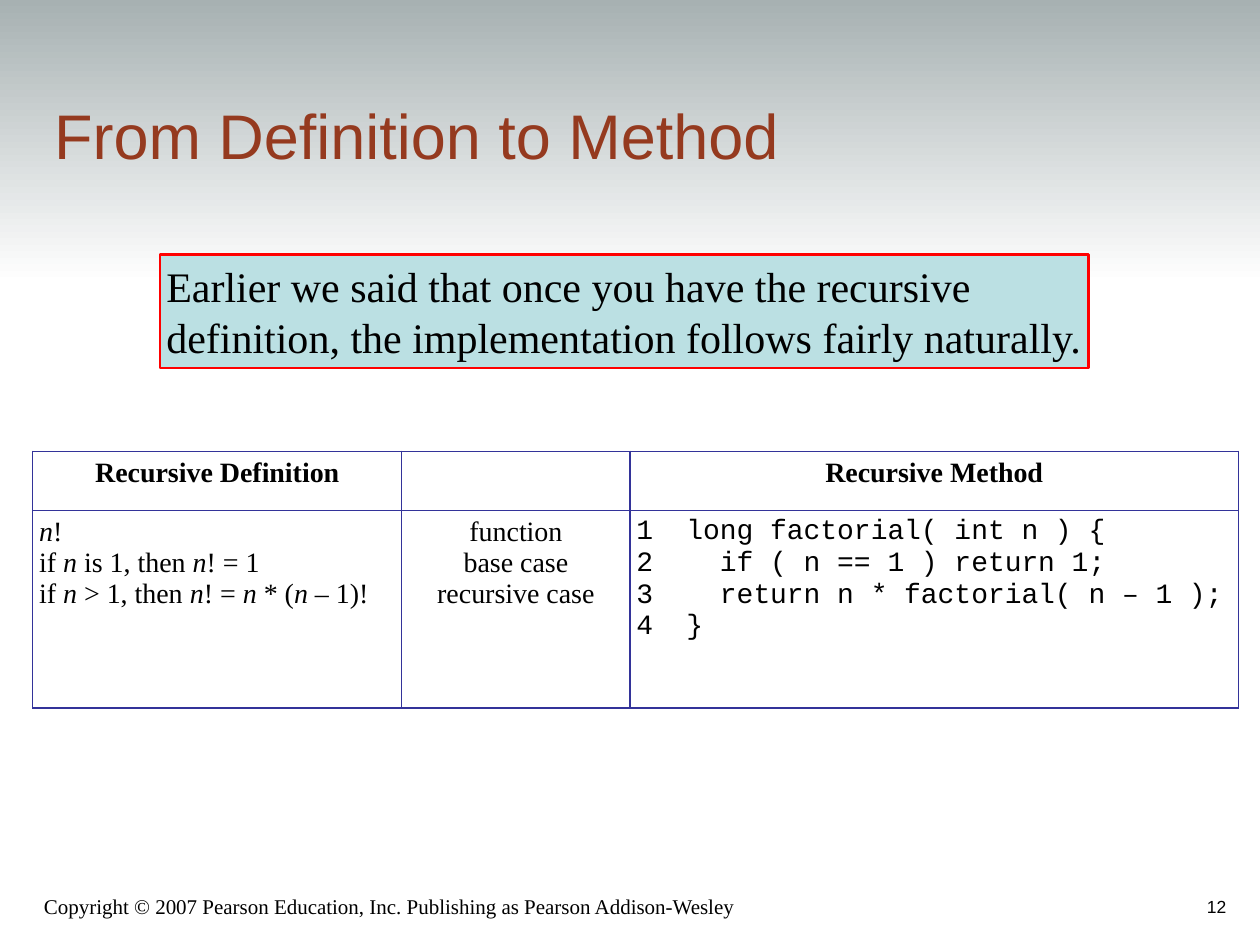
from lxml import etree
from pptx import Presentation
from pptx.dml.color import RGBColor
from pptx.enum.shapes import MSO_SHAPE
from pptx.enum.text import MSO_ANCHOR, MSO_AUTO_SIZE, PP_ALIGN
from pptx.oxml.ns import qn
from pptx.util import Inches, Pt

LEFT, CENTER, RIGHT = PP_ALIGN.LEFT, PP_ALIGN.CENTER, PP_ALIGN.RIGHT
TOP, MIDDLE, BOTTOM = MSO_ANCHOR.TOP, MSO_ANCHOR.MIDDLE, MSO_ANCHOR.BOTTOM

BLACK = RGBColor(0x00, 0x00, 0x00)
WHITE = RGBColor(0xFF, 0xFF, 0xFF)
RUST = RGBColor(0x95, 0x3A, 0x1F)
GREY = RGBColor(0xA7, 0xB1, 0xB2)
PALE_BLUE = RGBColor(0xBB, 0xE0, 0xE3)
RED = RGBColor(0xFF, 0x00, 0x00)
BORDER_HEX = "333399"

SERIF, SANS, MONO = "Times New Roman", "Arial", "Courier New"

TITLE = "From Definition to Method"
REMARK = [
    "Earlier we said that once you have the recursive",
    "definition, the implementation follows fairly naturally.",
]
COPYRIGHT = "Copyright © 2007 Pearson Education, Inc. Publishing as Pearson Addison-Wesley"
PAGE_NUMBER = "12"

# Text between underscores is italic.
HEADERS = ["Recursive Definition", "", "Recursive Method"]
DEFINITION = [
    "_n_!",
    "if _n_ is 1, then _n_! = 1",
    "if _n_ > 1, then _n_! = _n_ * (_n_ – 1)!",
]
CASES = ["function", "base case", "recursive case"]
METHOD = [
    "1  long factorial( int n ) {",
    "2    if ( n == 1 ) return 1;",
    "3    return n * factorial( n – 1 );",
    "4  }",
]
BODY = [(DEFINITION, SERIF, LEFT), (CASES, SERIF, CENTER), (METHOD, MONO, LEFT)]
COLUMN_WIDTHS = [2.93, 1.81, 4.83]
ROW_HEIGHTS = [0.47, 1.57]


def write_lines(frame, lines, font, size, color=BLACK, align=LEFT, bold=False):
    """Fill a text frame, one paragraph a line, with _marked_ parts in italic."""
    for index, line in enumerate(lines):
        para = frame.add_paragraph() if index else frame.paragraphs[0]
        para.alignment = align
        para.space_before = Pt(0)
        para.font.size = Pt(size)
        for part_index, part in enumerate(line.split("_")):
            if not part:
                continue
            span = para.add_run()
            span.text = part
            span.font.name = font
            span.font.size = Pt(size)
            span.font.color.rgb = color
            span.font.bold = bold
            span.font.italic = part_index % 2 == 1


def set_margins(target, margin):
    target.margin_left = target.margin_right = Inches(margin)
    target.margin_top = target.margin_bottom = Inches(margin)


def add_borders(cell):
    properties = cell._tc.get_or_add_tcPr()
    for position, side in enumerate(("a:lnL", "a:lnR", "a:lnT", "a:lnB")):
        line = etree.Element(qn(side), w=str(Pt(0.75)))
        fill = etree.SubElement(line, qn("a:solidFill"))
        etree.SubElement(fill, qn("a:srgbClr"), val=BORDER_HEX)
        properties.insert(position, line)


def add_label(page, place, text, font, size, align):
    box = page.shapes.add_textbox(*map(Inches, place))
    frame = box.text_frame
    frame.word_wrap = True
    frame.vertical_anchor = BOTTOM
    write_lines(frame, [text], font, size, align=align)


def add_header_band(page):
    band = page.shapes.add_shape(MSO_SHAPE.RECTANGLE, 0, 0, Inches(10), Inches(2.25))
    band.shadow.inherit = False
    band.line.fill.background()
    band.fill.gradient()
    band.fill.gradient_angle = 270
    for stop, color, position in zip(band.fill.gradient_stops, (GREY, WHITE), (0, 1)):
        stop.color.rgb = color
        stop.position = position
    # The band lies behind the title.
    page.shapes._spTree.insert(2, band._element)


def add_title(page):
    title = page.shapes.title
    title.left, title.top = Inches(0.33), Inches(0.33)
    title.width, title.height = Inches(8.47), Inches(1.09)
    frame = title.text_frame
    frame.auto_size = MSO_AUTO_SIZE.NONE
    frame.vertical_anchor = BOTTOM
    write_lines(frame, [TITLE], SANS, 36, RUST)


def add_method_table(page):
    table = page.shapes.add_table(
        2, 3, Inches(0.26), Inches(3.58),
        Inches(sum(COLUMN_WIDTHS)), Inches(sum(ROW_HEIGHTS)),
    ).table
    for column, width in zip(table.columns, COLUMN_WIDTHS):
        column.width = Inches(width)
    for row, height in zip(table.rows, ROW_HEIGHTS):
        row.height = Inches(height)
    for cell in table.iter_cells():
        set_margins(cell, 0.05)
        cell.vertical_anchor = TOP
        cell.fill.background()
        add_borders(cell)
    for index, (header, (lines, font, align)) in enumerate(zip(HEADERS, BODY)):
        write_lines(table.cell(0, index).text_frame, [header], SERIF, 16,
                    align=CENTER, bold=True)
        write_lines(table.cell(1, index).text_frame, lines, font, 16, align=align)


def add_remark(page):
    box = page.shapes.add_shape(
        MSO_SHAPE.RECTANGLE, Inches(1.27), Inches(2.02), Inches(7.37), Inches(0.9))
    box.shadow.inherit = False
    box.fill.solid()
    box.fill.fore_color.rgb = PALE_BLUE
    box.line.color.rgb = RED
    box.line.width = Pt(1.5)
    frame = box.text_frame
    set_margins(frame, 0.05)
    frame.word_wrap = False
    frame.auto_size = MSO_AUTO_SIZE.SHAPE_TO_FIT_TEXT
    frame.vertical_anchor = TOP
    write_lines(frame, REMARK, SERIF, 24)


def main():
    deck = Presentation()
    deck.slide_width, deck.slide_height = Inches(10), Inches(7.5)
    page = deck.slides.add_slide(deck.slide_layouts[5])
    add_header_band(page)
    add_label(page, (0.25, 6.92, 6.08, 0.42), COPYRIGHT, SERIF, 12, LEFT)
    add_title(page)
    add_method_table(page)
    add_remark(page)
    add_label(page, (7.75, 6.83, 2.08, 0.5), PAGE_NUMBER, SANS, 10, RIGHT)
    deck.save("out.pptx")


if __name__ == "__main__":
    main()
